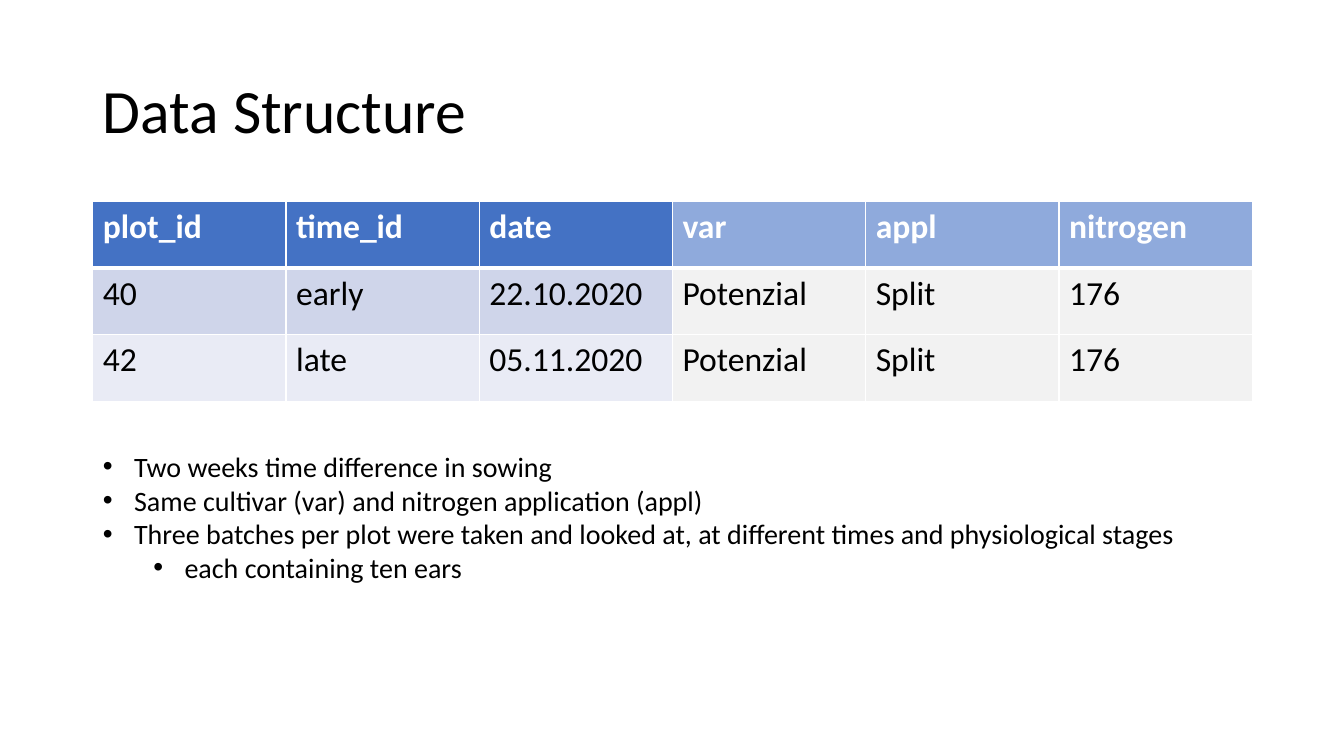
import dataclasses

import lxml.etree
import pptx
import pptx.dml.color
import pptx.enum.text
import pptx.oxml
import pptx.oxml.ns
import pptx.util

PX = 9144


@dataclasses.dataclass(frozen=True)
class Theme:
    """Colours and type sizes of the slide."""
    font: str = "Calibri"
    ink: str = "000000"
    paper: str = "FFFFFF"
    key_fills: tuple = ("4472C4", "CFD5EA", "E9EBF5")
    detail_fills: tuple = ("8FAADC", "F2F2F2", "F2F2F2")
    title_size: int = 44
    table_size: int = 24
    list_size: int = 20


THEME = Theme()
KEY_COLUMNS = 3
ROWS = (
    ("plot_id", "time_id", "date", "var", "appl", "nitrogen"),
    ("40", "early", "22.10.2020", "Potenzial", "Split", "176"),
    ("42", "late", "05.11.2020", "Potenzial", "Split", "176"),
)
POINTS = (
    (0, "Two weeks time difference in sowing"),
    (0, "Same cultivar (var) and nitrogen application (appl)"),
    (0, "Three batches per plot were taken and looked at, "
        "at different times and physiological stages"),
    (1, "each containing ten ears"),
)


def rgb(value):
    """Turn a hex string into a colour."""
    return pptx.dml.color.RGBColor.from_string(value)


def add_span(para, text, size, color, bold=False):
    """Add one formatted run to a paragraph."""
    span = para.add_run()
    span.text = text
    span.font.name = THEME.font
    span.font.size = pptx.util.Pt(size)
    span.font.bold = bold
    span.font.color.rgb = rgb(color)


def place(shape, box):
    """Move a shape to a box given in px."""
    shape.left, shape.top, shape.width, shape.height = (side * PX for side in box)


def add_title(page, box, text):
    """Fill the title placeholder."""
    title = page.shapes.title
    place(title, box)
    frame = title.text_frame
    frame.word_wrap = True
    frame.auto_size = pptx.enum.text.MSO_AUTO_SIZE.NONE
    frame.vertical_anchor = pptx.enum.text.MSO_ANCHOR.MIDDLE
    para = frame.paragraphs[0]
    para.alignment = pptx.enum.text.PP_ALIGN.LEFT
    para.line_spacing = 0.9
    add_span(para, text, THEME.title_size, THEME.ink)


def set_borders(cell, bottom):
    """Draw the cell borders, with the bottom width in points."""
    properties = cell._tc.get_or_add_tcPr()
    for side, width in (("L", 1), ("R", 1), ("T", 1), ("B", bottom)):
        line = lxml.etree.SubElement(properties, pptx.oxml.ns.qn(f"a:ln{side}"),
                                     w=str(pptx.util.Pt(width)))
        fill = lxml.etree.SubElement(line, pptx.oxml.ns.qn("a:solidFill"))
        lxml.etree.SubElement(fill, pptx.oxml.ns.qn("a:srgbClr"), val=THEME.paper)


def add_data_table(page, box, rows):
    """Add the table with key columns and detail columns in two tints."""
    left, top, width, height = (side * PX for side in box)
    table = page.shapes.add_table(len(rows), len(rows[0]),
                                  left, top, width, height).table
    for row_index, row in enumerate(rows):
        header = row_index == 0
        for column_index, text in enumerate(row):
            cell = table.cell(row_index, column_index)
            set_borders(cell, 3 if header else 1)
            fills = (THEME.key_fills if column_index < KEY_COLUMNS
                     else THEME.detail_fills)
            cell.fill.solid()
            cell.fill.fore_color.rgb = rgb(fills[row_index])
            add_span(cell.text_frame.paragraphs[0], text, THEME.table_size,
                     THEME.paper if header else THEME.ink, header)


def add_points(page, box, points):
    """Fill the body placeholder with the bulleted list."""
    body = page.placeholders[1]
    place(body, box)
    frame = body.text_frame
    frame.word_wrap = True
    frame.auto_size = pptx.enum.text.MSO_AUTO_SIZE.SHAPE_TO_FIT_TEXT
    for index, (level, text) in enumerate(points):
        para = frame.add_paragraph() if index else frame.paragraphs[0]
        para.level = level
        properties = para._p.get_or_add_pPr()
        properties.set("marL", str((31 + 50 * level) * PX))
        properties.set("indent", str(-31 * PX))
        lxml.etree.SubElement(properties, pptx.oxml.ns.qn("a:buFont"), typeface="Arial")
        lxml.etree.SubElement(properties, pptx.oxml.ns.qn("a:buChar"), char="•")
        para.space_before = pptx.util.Pt(0)
        para.line_spacing = 1.0
        add_span(para, text, THEME.list_size, THEME.ink)


def add_data_page(deck):
    """Add the page with title, table and list."""
    page = deck.slides.add_slide(deck.slide_layouts[1])
    page.background.fill.solid()
    page.background.fill.fore_color.rgb = rgb(THEME.paper)
    add_title(page, (92, 40, 1150, 145), "Data Structure")
    add_data_table(page, (92, 200, 1150, 198), ROWS)
    add_points(page, (92, 441, 1150, 175), POINTS)


def main():
    """Build and save the deck."""
    deck = pptx.Presentation()
    deck.slide_width, deck.slide_height = 1333 * PX, 750 * PX
    add_data_page(deck)
    deck.save("out.pptx")


if __name__ == "__main__":
    main()
